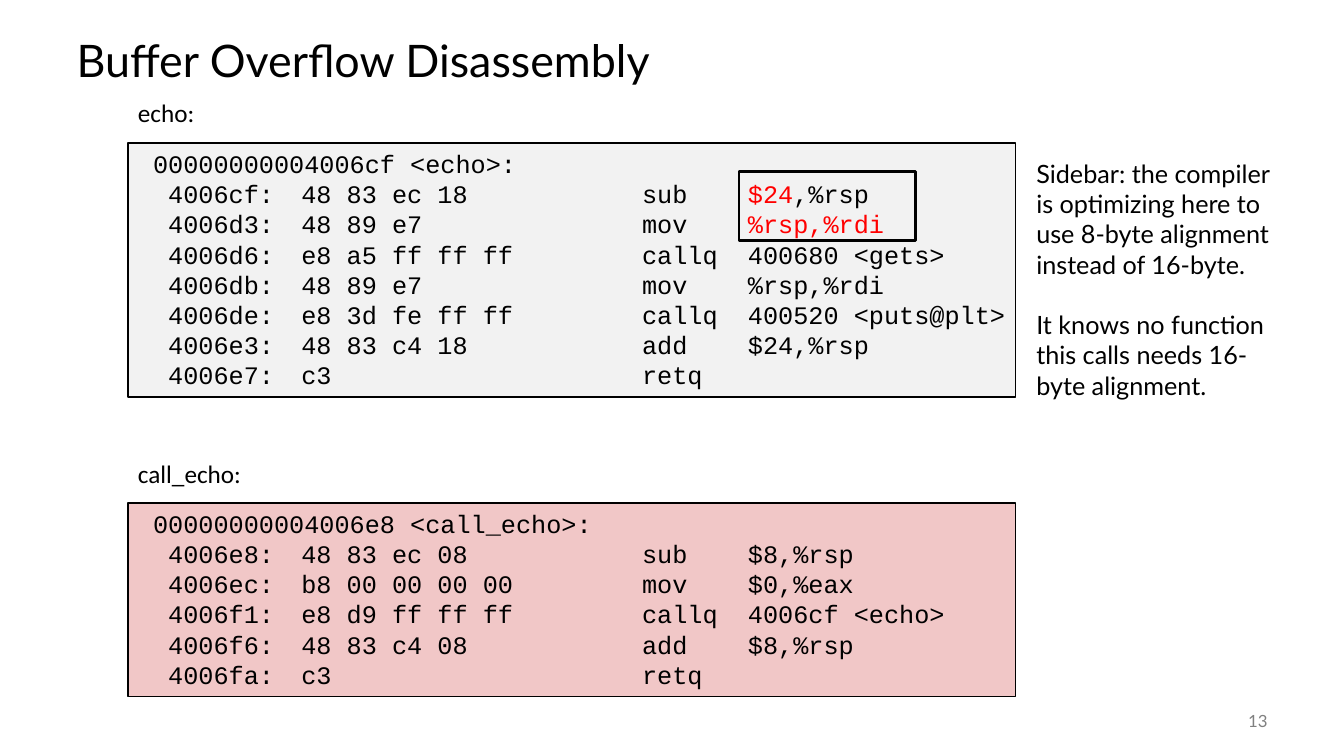
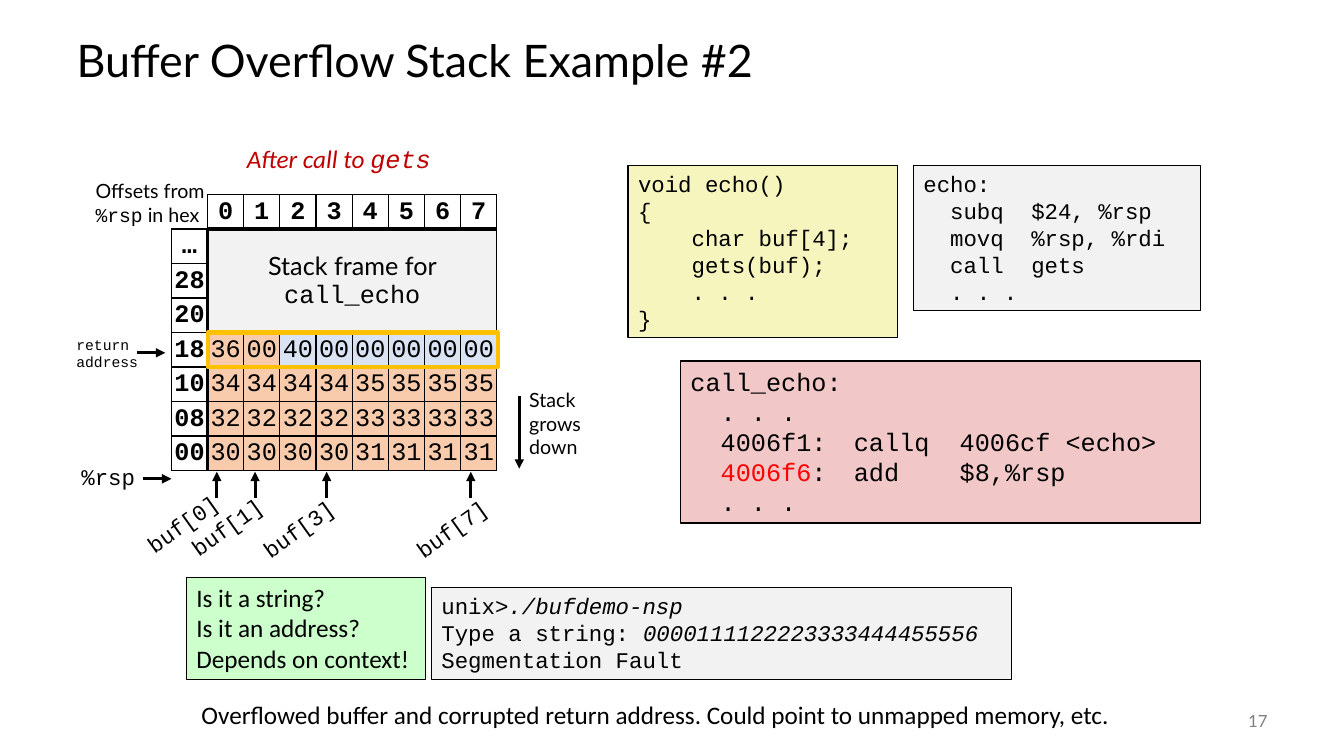
"""Build two slides on buffer overflows: the disassembly and a corrupted stack."""
from dataclasses import dataclass

from lxml.etree import SubElement
from pptx import Presentation
from pptx.dml.color import RGBColor
from pptx.enum.shapes import MSO_CONNECTOR as CONNECTOR, MSO_SHAPE as SHAPE
from pptx.enum.text import MSO_ANCHOR as ANCHOR, MSO_AUTO_SIZE as FIT, PP_ALIGN as ALIGN
from pptx.oxml.ns import qn
from pptx.util import Pt


@dataclass(frozen=True)
class Theme:
    ink: str = "000000"
    muted: str = "808080"
    alert: str = "FF0000"
    caption: str = "C00000"
    gray: str = "F2F2F2"
    pink: str = "F1C7C7"
    yellow: str = "F6F5BD"
    green: str = "CCFFCC"
    orange: str = "F8CBAD"
    blue: str = "DAE3F3"
    gold: str = "FFC000"
    sans: str = "Lato"
    plain: str = "Calibri"
    mono: str = "Courier New"
    title: float = 32
    body: float = 18
    code: float = 16
    note: float = 14
    number: float = 12
    small: float = 10.5


T = Theme()
PX = 9144
RED = {"color": T.alert}
ITALIC = {"italic": True}
MONO = {"font": T.mono}


def write(frame, lines, size, font, color=T.ink, tabs=(), align=ALIGN.LEFT, gap=0, bold=False, italic=False):
    """Fill a frame with lines, each a string or a list of (text, style) pieces."""
    base = {"font": font, "color": color, "bold": bold, "italic": italic}
    for index, line in enumerate(lines):
        paragraph = frame.add_paragraph() if index else frame.paragraphs[0]
        pieces = [(line, {})] if isinstance(line, str) else line
        paragraph.text = pieces[0][0]
        for text, _ in pieces[1:]:
            paragraph.add_run().text = text
        if tabs:
            stops = SubElement(paragraph._p.get_or_add_pPr(), qn("a:tabLst"))
            for stop in tabs:
                SubElement(stops, qn("a:tab"), pos=str(stop * PX), algn="l")
        paragraph.alignment = align
        if font == T.mono:
            paragraph.line_spacing = Pt(size * 1.2)
        if gap and index:
            paragraph.space_before = Pt(gap)
        for run, (_, style) in zip(paragraph.runs, pieces):
            look = base | style
            run.font.name = look["font"]
            run.font.size = Pt(size)
            run.font.bold = look["bold"]
            run.font.italic = look["italic"]
            run.font.color.rgb = RGBColor.from_string(look["color"])


deck = Presentation()
deck.slide_width, deck.slide_height = 1333 * PX, 750 * PX

slides = []
for heading, number in [("Buffer Overflow Disassembly", "13"), ("Buffer Overflow Stack Example #2", "17")]:
    slide = deck.slides.add_slide(deck.slide_layouts[5])
    title = slide.shapes.title
    title.left, title.top, title.width, title.height = [v * PX for v in (66, 25, 1200, 75)]
    title.text_frame.vertical_anchor = ANCHOR.MIDDLE
    write(title.text_frame, [heading], T.title, T.sans)
    title.text_frame.paragraphs[0].line_spacing = 0.9
    footer = slide.shapes.add_textbox(*[v * PX for v in (1167, 695, 100, 40)]).text_frame
    footer.word_wrap = True
    footer.vertical_anchor = ANCHOR.MIDDLE
    write(footer, [number], T.number, T.sans, T.muted, align=ALIGN.RIGHT)
    slides.append(slide)
disassembly, example = slides

memory = [
    ["", *"01234567"],
    ["…"],
    ["28"],
    ["20"],
    ["18", *"36 00 40 00 00 00 00 00".split()],
    ["10", *"34 34 34 34 35 35 35 35".split()],
    ["08", *"32 32 32 32 33 33 33 33".split()],
    ["00", *"30 30 30 30 31 31 31 31".split()],
]
memory[1].append([("Stack frame for ", {"font": T.sans}), ("call_echo", {})])
stack = example.shapes.add_table(8, 9, *[v * PX for v in (170, 193, 323, 274)]).table
stack.first_row = stack.horz_banding = False
for column in stack.columns:
    column.width = 323 * PX // 9
for row in stack.rows:
    row.height = 274 * PX // 8
stack.cell(1, 1).merge(stack.cell(3, 8))
for r, values in enumerate(memory):
    for c, value in enumerate(values):
        cell = stack.cell(r, c)
        cell.margin_left = cell.margin_right = cell.margin_top = cell.margin_bottom = 0
        cell.vertical_anchor = ANCHOR.MIDDLE
        widths = {
            "lnL": 3 if c == 1 and r else 1,
            "lnR": 3 if c == 0 and r else 1,
            "lnT": 3 if r == 1 and c else 1,
            "lnB": 3 if r == 0 and c else 1,
        }
        for side, width in widths.items():
            if value or side in ("lnR", "lnB"):
                edge = SubElement(cell._tc.get_or_add_tcPr(), qn(f"a:{side}"), w=str(Pt(width)))
                SubElement(SubElement(edge, qn("a:solidFill")), qn("a:srgbClr"), val=T.ink)
        if r and c:
            tint = T.gray if r == 1 else T.blue if r == 4 and c > 2 else T.orange
            cell.fill.solid()
            cell.fill.fore_color.rgb = RGBColor.from_string(tint)
        else:
            cell.fill.background()
        if value:
            write(cell.text_frame, [value], T.body, T.mono, align=ALIGN.CENTER, bold=not (r and c))

echo_dump = [
    " 00000000004006cf <echo>:",
    [("  4006cf:\t48 83 ec 18\tsub\t", {}), ("$24", RED), (",%rsp", {})],
    [("  4006d3:\t48 89 e7\tmov\t", {}), ("%rsp,%rdi", RED)],
    "  4006d6:\te8 a5 ff ff ff\tcallq\t400680 <gets>",
    "  4006db:\t48 89 e7\tmov\t%rsp,%rdi",
    "  4006de:\te8 3d fe ff ff\tcallq\t400520 <puts@plt>",
    "  4006e3:\t48 83 c4 18\tadd\t$24,%rsp",
    "  4006e7:\tc3\tretq",
]
call_echo_dump = [
    " 00000000004006e8 <call_echo>:",
    "  4006e8:\t48 83 ec 08\tsub\t$8,%rsp",
    "  4006ec:\tb8 00 00 00 00\tmov\t$0,%eax",
    "  4006f1:\te8 d9 ff ff ff\tcallq\t4006cf <echo>",
    "  4006f6:\t48 83 c4 08\tadd\t$8,%rsp",
    "  4006fa:\tc3\tretq",
]
session = [
    [("unix>", {}), ("./bufdemo-nsp", ITALIC)],
    [("Type a string:", {}), ("\t0000111122223333444455556", ITALIC)],
    "Segmentation Fault",
]
questions = ["Is it a string?", "Is it an address?", "Depends on context!"]
echo_assembly = ["echo:", "  subq\t$24, %rsp", "  movq\t%rsp, %rdi", "  call\tgets", "  . . ."]
echo_source = ["void echo()", "{", "    char buf[4];", "    gets(buf);", "    . . .", "}"]
call_echo_assembly = [
    "call_echo:",
    "  . . .",
    "  4006f1:\tcallq\t4006cf <echo>",
    [("  ", {}), ("4006f6", RED), (":\tadd\t$8,%rsp", {})],
    "  . . .",
]
dump_tabs = (162, 500, 605)
panels = [
    (disassembly, (127, 142, 880, 252), T.gray, 1, echo_dump, T.body, T.mono, dump_tabs),
    (disassembly, (127, 499, 880, 192), T.pink, 1, call_echo_dump, T.body, T.mono, dump_tabs),
    (example, (428, 583, 575, 91), T.gray, 1, session, T.code, T.mono, (200,)),
    (example, (185, 573, 237, 101), T.green, 0.75, questions, T.body, T.plain, ()),
    (example, (906, 164, 285, 144), T.gray, 1, echo_assembly, T.code, T.mono, (107,)),
    (example, (623, 164, 267, 171), T.yellow, 1, echo_source, T.code, T.mono, ()),
    (example, (675, 358, 516, 161), T.pink, 1, call_echo_assembly, T.body, T.mono, (162, 267)),
]
for slide, place, tint, weight, lines, size, font, tabs in panels:
    panel = slide.shapes.add_shape(SHAPE.RECTANGLE, *[v * PX for v in place])
    panel.shadow.inherit = False
    panel.fill.solid()
    panel.fill.fore_color.rgb = RGBColor.from_string(tint)
    panel.line.color.rgb = RGBColor.from_string(T.ink)
    panel.line.width = Pt(weight)
    panel.text_frame.word_wrap = True
    panel.text_frame.vertical_anchor = ANCHOR.TOP
    panel.text_frame.margin_right = 0
    write(panel.text_frame, lines, size, font, tabs=tabs)

for slide, place, color, weight in [
    (disassembly, (733, 170, 175, 69), T.ink, 2),
    (example, (206, 330, 288, 34), T.gold, 3),
]:
    highlight = slide.shapes.add_shape(SHAPE.RECTANGLE, *[v * PX for v in place])
    highlight.shadow.inherit = False
    highlight.fill.background()
    highlight.line.color.rgb = RGBColor.from_string(color)
    highlight.line.width = Pt(weight)

sidebar = [
    "Sidebar: the compiler is optimizing here to use 8-byte alignment instead of 16-byte.",
    "It knows no function this calls needs 16-byte alignment.",
]
verdict = "Overflowed buffer and corrupted return address. Could point to unmapped memory, etc."
after_call = [("After call to ", {}), ("gets", MONO)]
offsets = [("Offsets from ", {}), ("%rsp", MONO), (" in hex", {})]
labels = [
    (disassembly, (127, 92, 77, 40), False, 0, ["echo:"], T.body, T.plain, {}),
    (disassembly, (127, 450, 124, 40), False, 0, ["call_echo:"], T.body, T.plain, {}),
    (disassembly, (1018, 152, 266, 252), True, 0, sidebar, T.body, T.sans, {"gap": 21.6}),
    (example, (190, 689, 941, 40), False, 0, [verdict], T.body, T.plain, {}),
    (example, (235, 137, 209, 40), False, 0, [after_call], T.body, T.plain, {"color": T.caption, "italic": True}),
    (example, (85, 173, 150, 57), True, 0, [offsets], T.note, T.sans, {}),
    (example, (515, 380, 79, 81), True, 0, ["Stack grows down"], T.note, T.sans, {}),
    (example, (66, 328, 82, 45), False, 0, ["return", "address"], T.small, T.mono, {}),
    (example, (71, 455, 74, 37), False, 0, ["%rsp"], T.code, T.mono, {}),
]
for index, left, top in [(0, 131, 501), (1, 175, 504), (3, 246, 506), (7, 398, 506)]:
    labels.append((example, (left, top, 101, 37), False, 324.6, [f"buf[{index}]"], T.code, T.mono, {}))
for slide, place, wrap, angle, lines, size, font, style in labels:
    label = slide.shapes.add_textbox(*[v * PX for v in place])
    label.rotation = angle
    label.text_frame.word_wrap = wrap
    label.text_frame.auto_size = FIT.SHAPE_TO_FIT_TEXT
    write(label.text_frame, lines, size, font, **style)

arrows = [(142, 475, 170, 475), (136, 350, 164, 350), (515, 393, 515, 465)]
arrows += [(x, 494, x, 468) for x in (215, 253, 324, 467)]
for ends in arrows:
    arrow = example.shapes.add_connector(CONNECTOR.STRAIGHT, *[v * PX for v in ends])
    arrow.line.color.rgb = RGBColor.from_string(T.ink)
    arrow.line.width = Pt(2.25)
    outline = arrow._element.spPr
    SubElement(outline.find(qn("a:ln")), qn("a:tailEnd"), type="triangle")
    SubElement(outline, qn("a:effectLst"))

deck.save("out.pptx")
